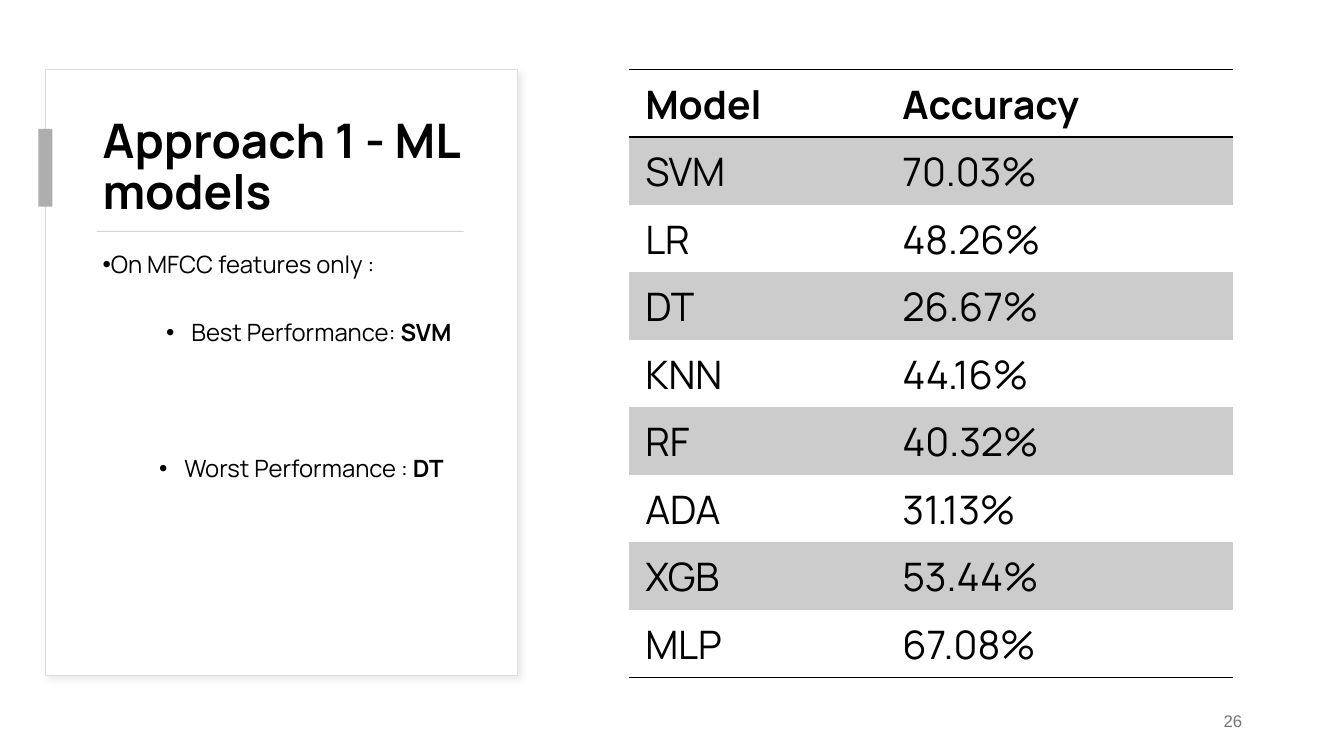
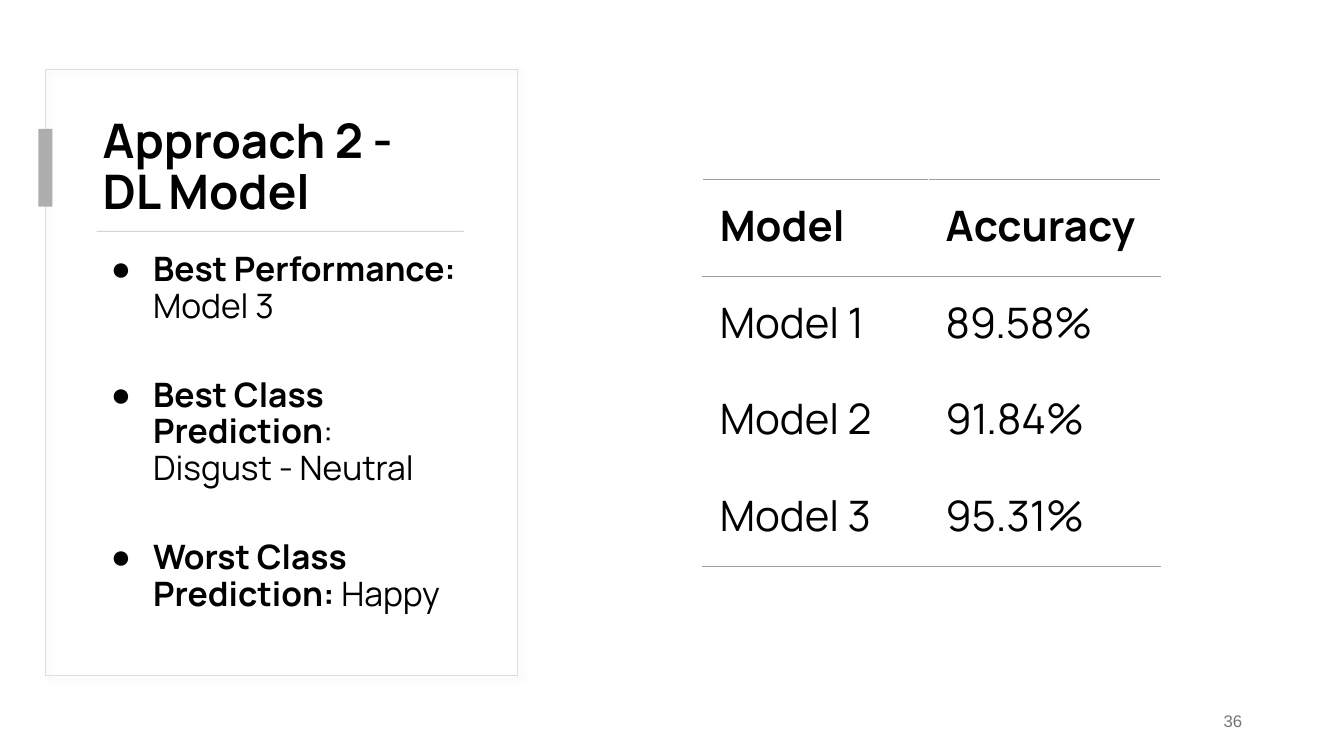
from lxml import etree
from pptx import Presentation
from pptx.dml.color import RGBColor
from pptx.enum.shapes import MSO_SHAPE
from pptx.enum.text import MSO_ANCHOR, PP_ALIGN
from pptx.oxml.ns import qn
from pptx.util import Pt

RECTANGLE = MSO_SHAPE.RECTANGLE
TOP, MIDDLE = MSO_ANCHOR.TOP, MSO_ANCHOR.MIDDLE
LEFT, RIGHT = PP_ALIGN.LEFT, PP_ALIGN.RIGHT

PX = 9144  # 100 px to the inch
FONT = "Manrope"
COLORS = {
    "ink": "000000",
    "paper": "FFFFFF",
    "accent": "AEAEAE",
    "divider": "D5D5D5",
    "card_edge": "DEDEDE",
    "shadow": "D8D8D8",
    "band": "CCCCCC",
    "rule": "9E9E9E",
    "number": "757575",
}

PAGES = [
    {
        "title": "Approach 1 - ML\nmodels",
        "number": "26",
        "card_fill": "paper",
        "body_size": 17,
        "bullet": "•",
        # spans as (text, bold), level, margin, indent, space before
        "body": [
            ([("On MFCC features only :", False)], 0, 0, 0, 0),
            ([("Best Performance: ", False), ("SVM", True)], 1, 88, -25, 30),
            ([("Worst Performance : ", False), ("DT", True)], 1, 81, -25, 79),
        ],
        "table": {
            "left": 624, "top": 69, "columns": [255, 344], "row": 67,
            "size": 28, "inset_x": 16, "inset_y": 8,
            "rule": "ink", "rule_width": 1, "side": None, "band": "band",
            "rows": [
                ("Model", "Accuracy"), ("SVM", "70.03%"), ("LR", "48.26%"),
                ("DT", "26.67%"), ("KNN", "44.16%"), ("RF", "40.32%"),
                ("ADA", "31.13%"), ("XGB", "53.44%"), ("MLP", "67.08%"),
            ],
        },
    },
    {
        "title": "Approach 2 -\nDL Model",
        "number": "36",
        "card_fill": None,
        "body_size": 24,
        "bullet": "●",
        "body": [
            ([("Best Performance:", True), (" Model 3", False)], 0, 50, -42, 0),
            ([("Best Class Prediction", True), (":\nDisgust - Neutral", False)],
             0, 50, -42, 38),
            ([("Worst Class Prediction:", True), (" Happy", False)], 0, 50, -42, 38),
        ],
        "table": {
            "left": 697, "top": 178, "columns": [224, 230], "row": 96,
            "size": 30, "inset_x": 17, "inset_y": 17,
            "rule": "rule", "rule_width": 0.75, "side": "paper", "band": "paper",
            "rows": [
                ("Model", "Accuracy"), ("Model 1", "89.58%"),
                ("Model 2", "91.84%"), ("Model 3", "95.31%"),
            ],
        },
    },
]


def color(name):
    return RGBColor.from_string(COLORS[name])


def write(frame, spans, size=17, font=FONT, ink="ink", align=LEFT, anchor=TOP,
          line=None, before=0, bullet=None, level=0, margin=0, indent=0):
    """Add one paragraph made of (text, bold) spans."""
    frame.word_wrap = True
    frame.vertical_anchor = anchor
    paragraph = frame.paragraphs[-1]
    if paragraph.runs:
        paragraph = frame.add_paragraph()
    paragraph.level = level
    if bullet:
        properties = paragraph._p.get_or_add_pPr()
        properties.set("marL", str(margin * PX))
        properties.set("indent", str(indent * PX))
        tint = etree.SubElement(properties, qn("a:buClr"))
        etree.SubElement(tint, qn("a:srgbClr"), val=COLORS[ink])
        etree.SubElement(properties, qn("a:buFont"), typeface="Arial")
        etree.SubElement(properties, qn("a:buChar"), char=bullet)
    paragraph.alignment = align
    if line:
        paragraph.line_spacing = line
    if before:
        paragraph.space_before = Pt(before)
    for text, bold in spans:
        for index, part in enumerate(text.split("\n")):
            if index:
                paragraph.add_line_break()
            span = paragraph.add_run()
            span.text = part
            span.font.name = font
            span.font.size = Pt(size)
            span.font.bold = bold
            span.font.color.rgb = color(ink)


deck = Presentation()
deck.slide_width, deck.slide_height = 1333 * PX, 750 * PX

for content in PAGES:
    page = deck.slides.add_slide(deck.slide_layouts[6])

    # Card, accent tab and title divider
    for left, top, width, height, fill, edge in [
        (45, 69, 468, 601, content["card_fill"], "card_edge"),
        (38, 128, 14, 77, "accent", None),
        (96, 229, 364, 1, "divider", None),
    ]:
        shape = page.shapes.add_shape(
            RECTANGLE, left * PX, top * PX, width * PX, height * PX)
        shape.shadow.inherit = False
        if fill:
            shape.fill.solid()
            shape.fill.fore_color.rgb = color(fill)
        else:
            shape.fill.background()
        if edge:
            shape.line.color.rgb = color(edge)
            shape.line.width = Pt(0.75)
            effects = shape._element.spPr.find(qn("a:effectLst"))
            shadow = etree.SubElement(
                effects, qn("a:outerShdw"), blurRad=str(Pt(4)), dist=str(Pt(3)),
                dir="2700000", algn="tl", rotWithShape="0")
            tint = etree.SubElement(shadow, qn("a:srgbClr"), val=COLORS["shadow"])
            etree.SubElement(tint, qn("a:alpha"), val="50000")
        else:
            shape.line.fill.background()

    # Title, body and page number
    title, body, number = [
        page.shapes.add_textbox(left * PX, top * PX, width * PX, height * PX).text_frame
        for left, top, width, height in [
            (92, 107, 375, 121), (92, 246, 375, 389), (942, 695, 300, 40)]
    ]
    write(title, [(content["title"], True)], size=34, anchor=MIDDLE, line=0.9)
    for spans, level, margin, indent, before in content["body"]:
        write(body, spans, size=content["body_size"], line=0.9, before=before,
              bullet=content["bullet"], level=level, margin=margin, indent=indent)
    write(number, [(content["number"], False)], size=12, font="Arial", ink="number",
          align=RIGHT, anchor=MIDDLE)

    # Accuracy table
    style = content["table"]
    rows, columns = style["rows"], style["columns"]
    table = page.shapes.add_table(
        len(rows), len(columns), style["left"] * PX, style["top"] * PX,
        sum(columns) * PX, len(rows) * style["row"] * PX).table
    table.first_row = table.horz_banding = False
    for column, width in zip(table.columns, columns):
        column.width = width * PX
    for row_index, values in enumerate(rows):
        # Rules run above and below the header and below the last row
        edges = {
            "a:lnL": style["side"],
            "a:lnR": style["side"],
            "a:lnT": style["rule"] if row_index < 2 else None,
            "a:lnB": style["rule"] if row_index in (0, len(rows) - 1) else None,
        }
        for column_index, value in enumerate(values):
            cell = table.cell(row_index, column_index)
            cell.margin_left = cell.margin_right = style["inset_x"] * PX
            cell.margin_top = cell.margin_bottom = style["inset_y"] * PX
            properties = cell._tc.get_or_add_tcPr()
            for tag, edge in edges.items():
                border = etree.SubElement(
                    properties, qn(tag), w=str(Pt(style["rule_width"])))
                if edge:
                    paint = etree.SubElement(border, qn("a:solidFill"))
                    etree.SubElement(paint, qn("a:srgbClr"), val=COLORS[edge])
                else:
                    etree.SubElement(border, qn("a:noFill"))
            cell.fill.solid()
            cell.fill.fore_color.rgb = color(style["band"] if row_index % 2 else "paper")
            write(cell.text_frame, [(value, row_index == 0)], size=style["size"])

deck.save("out.pptx")
